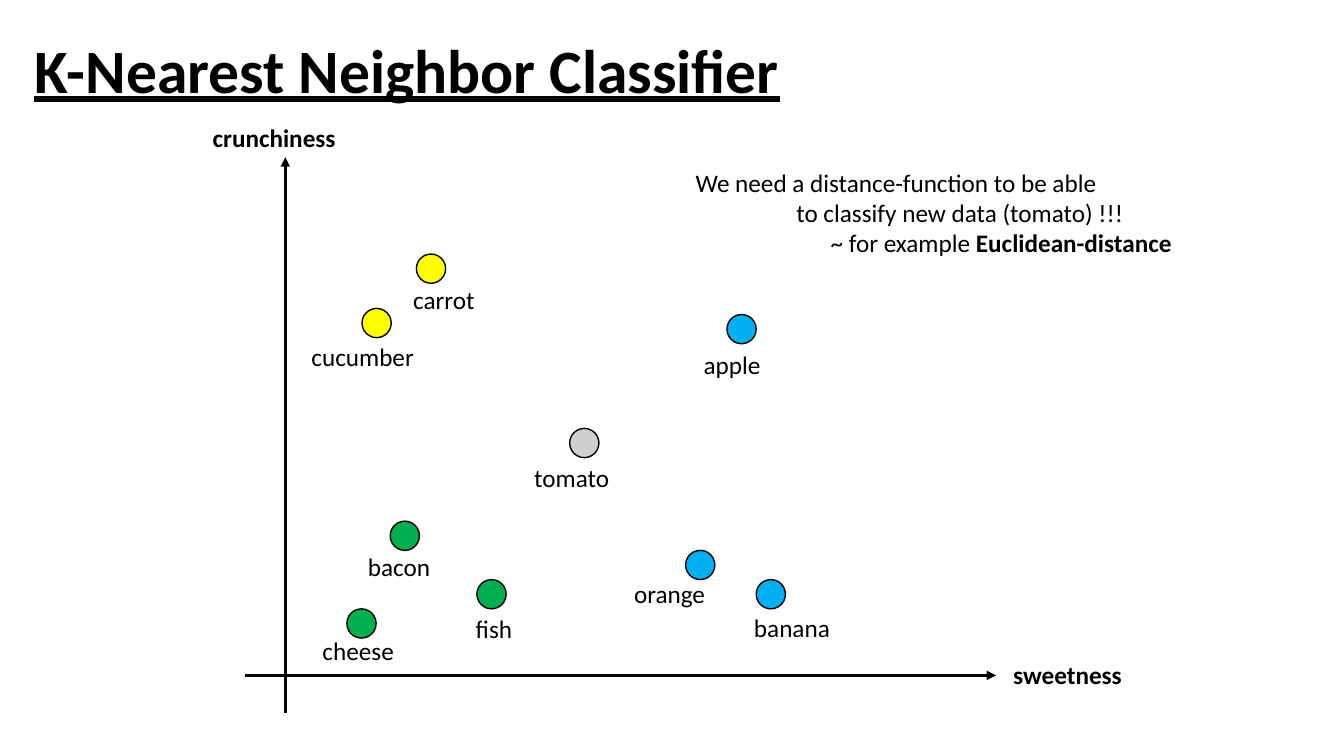
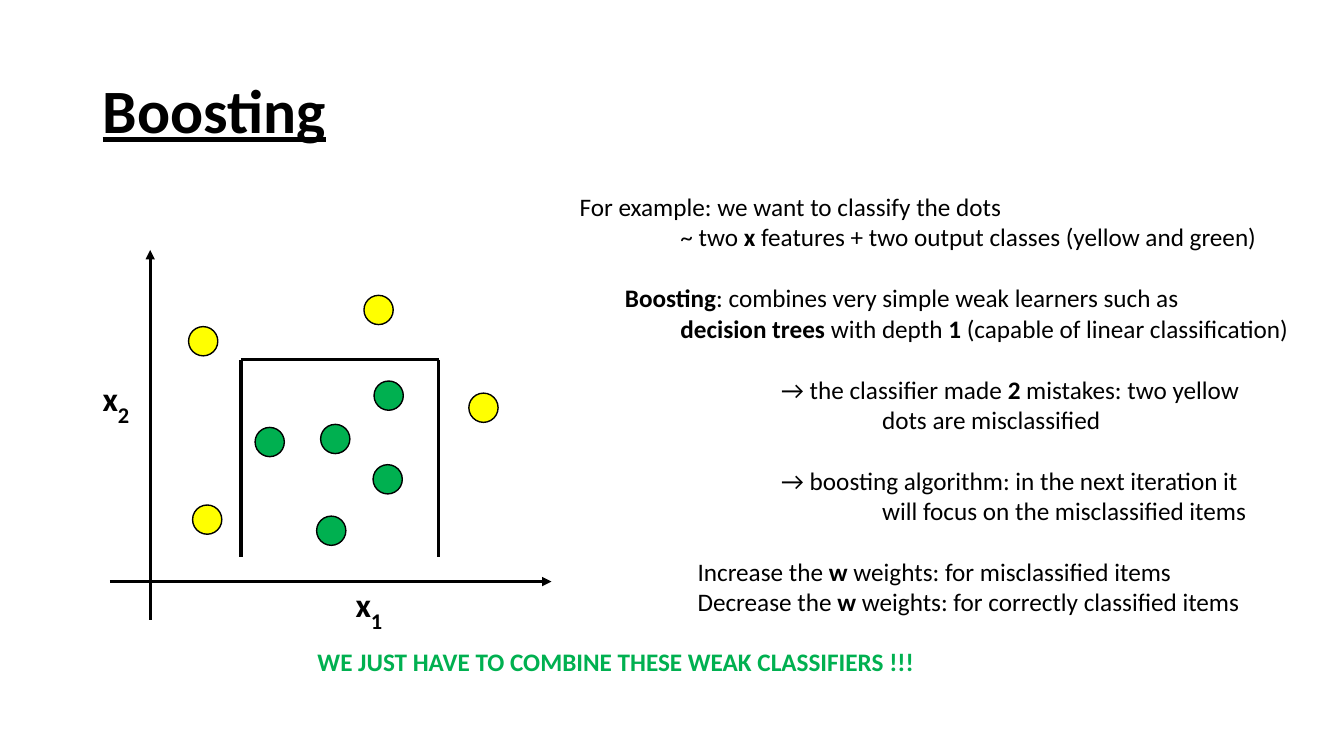
from lxml import etree
from pptx import Presentation
from pptx.dml.color import RGBColor
from pptx.enum.shapes import MSO_CONNECTOR as Link, MSO_SHAPE as Shape
from pptx.enum.text import MSO_ANCHOR as Anchor
from pptx.oxml.ns import qn
from pptx.util import Pt

BLACK = RGBColor(0x00, 0x00, 0x00)
YELLOW = RGBColor(0xFF, 0xFF, 0x00)
BLUE = RGBColor(0x00, 0xB0, 0xF0)
GREEN = RGBColor(0x00, 0xB0, 0x50)
GREY = RGBColor(0xD0, 0xCE, 0xCE)
PX = 9144  # EMU, 100 px to the inch
LINE = 22  # points, height of one body line


class Deck:
    font = "Calibri"
    size = 18
    dot_size = 29

    def __init__(self):
        self.prs = Presentation()
        self.prs.slide_width = 1333 * PX
        self.prs.slide_height = 750 * PX
        self.slide = None

    def new(self, title, x, y):
        """Start a blank slide with an underlined title."""
        self.slide = self.prs.slides.add_slide(self.prs.slide_layouts[6])
        self.text(title, x, y, 1150, 145, size=44, bold=True, under=True,
                  anchor=Anchor.MIDDLE, space=0.9)

    def text(self, lines, x, y, w, h=40, size=None, color=BLACK, bold=False,
             under=False, anchor=Anchor.TOP, space=None):
        """Lines are one string or (indent px, lines left free, string);
        ** switches bold on and off."""
        box = self.slide.shapes.add_textbox(x * PX, y * PX, w * PX, h * PX)
        frame = box.text_frame
        frame.word_wrap = True
        frame.vertical_anchor = anchor
        if isinstance(lines, str):
            lines = [(0, 0, lines)]
        for n, (indent, gap, line) in enumerate(lines):
            para = frame.add_paragraph() if n else frame.paragraphs[0]
            if indent:
                para._p.get_or_add_pPr().set("marL", str(indent * PX))
            if gap:
                para.space_before = Pt(gap * LINE)
            if space:
                para.line_spacing = space
            for k, part in enumerate(line.split("**")):
                if part:
                    run = para.add_run()
                    run.text = part
                    font = run.font
                    font.name = self.font
                    font.size = Pt(size or self.size)
                    font.bold = bold or k % 2 == 1
                    font.underline = under
                    font.color.rgb = color

    def dot(self, x, y, color):
        side = self.dot_size * PX
        dot = self.slide.shapes.add_shape(Shape.OVAL, x * PX, y * PX, side, side)
        dot.shadow.inherit = False
        dot.fill.solid()
        dot.fill.fore_color.rgb = color
        dot.line.color.rgb = BLACK
        dot.line.width = Pt(1)

    def line(self, x1, y1, x2, y2, arrow=False):
        line = self.slide.shapes.add_connector(
            Link.STRAIGHT, x1 * PX, y1 * PX, x2 * PX, y2 * PX)
        line.line.color.rgb = BLACK
        line.line.width = Pt(2.25)
        if arrow:
            etree.SubElement(line.line._get_or_add_ln(), qn("a:tailEnd"),
                             type="triangle")
        etree.SubElement(line._element.spPr, qn("a:effectLst"))

    def axes(self, left, right, top, bottom, x, y):
        """Two arrows that cross at x, y."""
        self.line(x, bottom, x, top, arrow=True)
        self.line(left, y, right, y, arrow=True)

    def index(self, num, x, y):
        """An x with a lowered number."""
        self.text("x", x, y, 40, 50, size=24, bold=True)
        self.text(num, x + 15, y + 23, 36, 37, size=16, bold=True)


def knn(deck):
    deck.new("K-Nearest Neighbor Classifier", 24, 0)

    # Axes
    deck.axes(243, 988, 156, 707, 283, 670)
    deck.text("crunchiness", 201, 116, 165, bold=True)
    deck.text("sweetness", 995, 649, 144, bold=True)

    # Foods: dot, then label place and width
    foods = [
        ("cucumber", YELLOW, 359, 306, 299, 334, 149),
        ("carrot", YELLOW, 413, 252, 400, 277, 94),
        ("apple", BLUE, 721, 312, 688, 342, 93),
        ("orange", BLUE, 680, 546, 619, 569, 110),
        ("banana", BLUE, 750, 575, 738, 603, 120),
        ("bacon", GREEN, 387, 517, 355, 542, 103),
        ("fish", GREEN, 473, 575, 462, 604, 62),
        ("cheese", GREEN, 344, 604, 310, 625, 111),
        ("tomato", GREY, 565, 425, 520, 454, 111),
    ]
    for name, color, x, y, tx, ty, w in foods:
        deck.dot(x, y, color)
        deck.text(name, tx, ty, w)

    # Note
    deck.text([
        (0, 0, "We need a distance-function to be able"),
        (100, 0, "to classify new data (tomato) !!!"),
        (134, 0, "~ for example **Euclidean-distance**"),
    ], 680, 161, 525, 101)


def boost(deck):
    deck.new("Boosting", 92, 40)

    # Explanation
    deck.text([
        (0, 0, "For example: we want to classify the dots"),
        (100, 0, "~ two **x** features + two output classes (yellow and green)"),
        (45, 1, "**Boosting**: combines very simple weak learners such as"),
        (100, 0, "**decision trees** with depth **1** "
                 "(capable of linear classification)"),
        (200, 1, "→ the classifier made **2** mistakes: two yellow"),
        (300, 0, "dots are misclassified"),
        (200, 1, "→ boosting algorithm: in the next iteration it"),
        (300, 0, "will focus on the misclassified items"),
        (117, 1, "Increase the **w** weights: for misclassified items"),
        (117, 0, "Decrease the **w** weights: for correctly classified items"),
    ], 565, 185, 731, 434)
    deck.text("WE JUST HAVE TO COMBINE THESE WEAK CLASSIFIERS !!!",
              305, 636, 618, color=GREEN, bold=True)

    # Axes
    deck.axes(109, 547, 248, 615, 149, 577)
    deck.index("2", 92, 370)
    deck.index("1", 343, 574)

    # Borders of the weak learners
    left, right, top, low = 239, 435, 357, 553
    deck.line(left, top, right, top)
    for x in (left, right):
        deck.line(x, top, x, low)

    # Dots of the two classes
    dots = {
        YELLOW: [(187, 324), (361, 293), (465, 390), (191, 501)],
        GREEN: [(371, 378), (370, 461), (253, 424), (314, 512), (318, 421)],
    }
    for color, spots in dots.items():
        for x, y in spots:
            deck.dot(x, y, color)


def main():
    deck = Deck()
    knn(deck)
    boost(deck)
    deck.prs.save("out.pptx")


if __name__ == "__main__":
    main()
